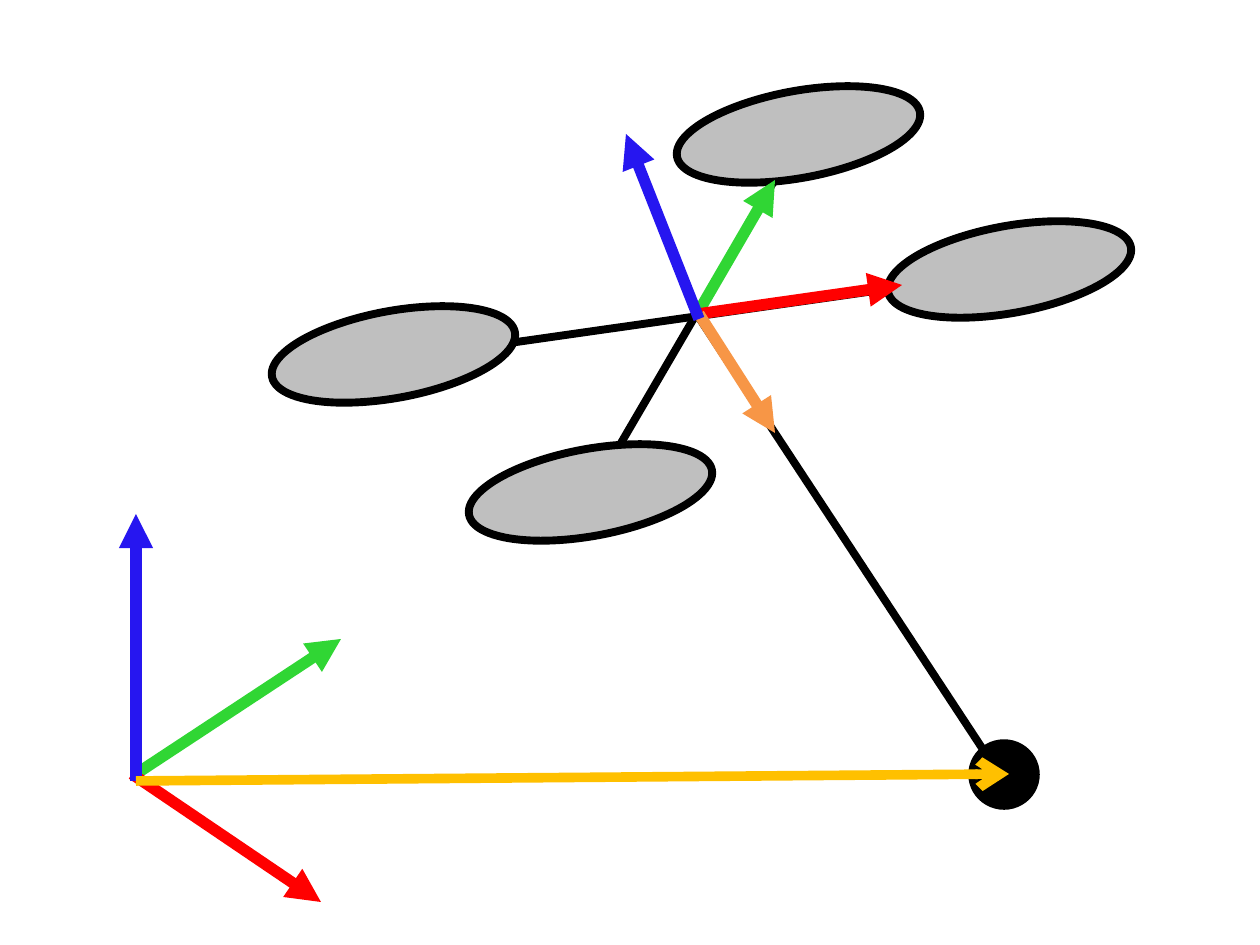
from dataclasses import dataclass

from lxml import etree
from pptx import Presentation
from pptx.dml.color import RGBColor
from pptx.enum.shapes import MSO_CONNECTOR, MSO_SHAPE
from pptx.oxml.ns import qn
from pptx.slide import Slide
from pptx.util import Emu, Pt

STRAIGHT = MSO_CONNECTOR.STRAIGHT
OVAL = MSO_SHAPE.OVAL
PX_PER_INCH = 126
BLANK_LAYOUT = 6


@dataclass(frozen=True)
class Theme:
    black: str = "000000"
    rotor: str = "BFBFBF"
    x_axis: str = "FF0000"
    y_axis: str = "30D634"
    z_axis: str = "2616F0"
    cable: str = "F79646"
    position: str = "FFC000"
    frame_width: float = 4.5
    axis_width: float = 6.5
    position_width: float = 5.5
    load_width: float = 2


THEME = Theme()


@dataclass(frozen=True)
class Line:
    start: tuple[int, int]
    end: tuple[int, int]
    color: str = THEME.black
    width: float = THEME.frame_width
    head: str = ""


@dataclass(frozen=True)
class Ellipse:
    left: int
    top: int
    width: int = 247
    height: int = 87
    rotation: float = 349.6
    fill: str = THEME.rotor
    line_width: float = THEME.frame_width


def px(value: int) -> Emu:
    return Emu(round(value * 914400 / PX_PER_INCH))


def axis(start: tuple[int, int], end: tuple[int, int], color: str) -> Line:
    return Line(start, end, color, THEME.axis_width, "triangle")


def draw_line(page: Slide, line: Line) -> None:
    connector = page.shapes.add_connector(
        STRAIGHT, *(px(value) for value in line.start + line.end)
    )
    connector.line.color.rgb = RGBColor.from_string(line.color)
    connector.line.width = Pt(line.width)
    properties = connector._element.spPr
    if line.head:
        outline = properties.find(qn("a:ln"))
        etree.SubElement(outline, qn("a:tailEnd"), type=line.head)
    etree.SubElement(properties, qn("a:effectLst"))


def draw_ellipse(page: Slide, ellipse: Ellipse) -> None:
    shape = page.shapes.add_shape(
        OVAL,
        px(ellipse.left),
        px(ellipse.top),
        px(ellipse.width),
        px(ellipse.height),
    )
    shape.rotation = ellipse.rotation
    shape.shadow.inherit = False
    shape.fill.solid()
    shape.fill.fore_color.rgb = RGBColor.from_string(ellipse.fill)
    shape.line.color.rgb = RGBColor.from_string(THEME.black)
    shape.line.width = Pt(ellipse.line_width)


WORLD_AXES = [
    axis((136, 774), (341, 639), THEME.y_axis),
    axis((132, 774), (321, 902), THEME.x_axis),
    axis((136, 781), (136, 514), THEME.z_axis),
]
ARMS = [
    Line((271, 377), (1092, 260)),
    Line((593, 491), (815, 111)),
]
ROTORS = [
    Ellipse(270, 311),
    Ellipse(675, 91),
    Ellipse(467, 449),
    Ellipse(886, 226),
]
BODY_AXES_AND_CABLE = [
    axis((699, 311), (775, 180), THEME.y_axis),
    axis((698, 314), (902, 285), THEME.x_axis),
    Line((1009, 789), (698, 316)),
    axis((699, 314), (775, 433), THEME.cable),
    axis((699, 319), (626, 134), THEME.z_axis),
]
LOAD = Ellipse(970, 741, 68, 67, 0, THEME.black, THEME.load_width)
LOAD_POSITION = Line(
    (136, 781), (1009, 774), THEME.position, THEME.position_width, "arrow"
)


def main() -> None:
    deck = Presentation()
    deck.slide_width = px(1260)
    deck.slide_height = px(945)
    page = deck.slides.add_slide(deck.slide_layouts[BLANK_LAYOUT])
    for line in WORLD_AXES + ARMS:
        draw_line(page, line)
    for rotor in ROTORS:
        draw_ellipse(page, rotor)
    for line in BODY_AXES_AND_CABLE:
        draw_line(page, line)
    draw_ellipse(page, LOAD)
    draw_line(page, LOAD_POSITION)
    deck.save("out.pptx")


if __name__ == "__main__":
    main()
